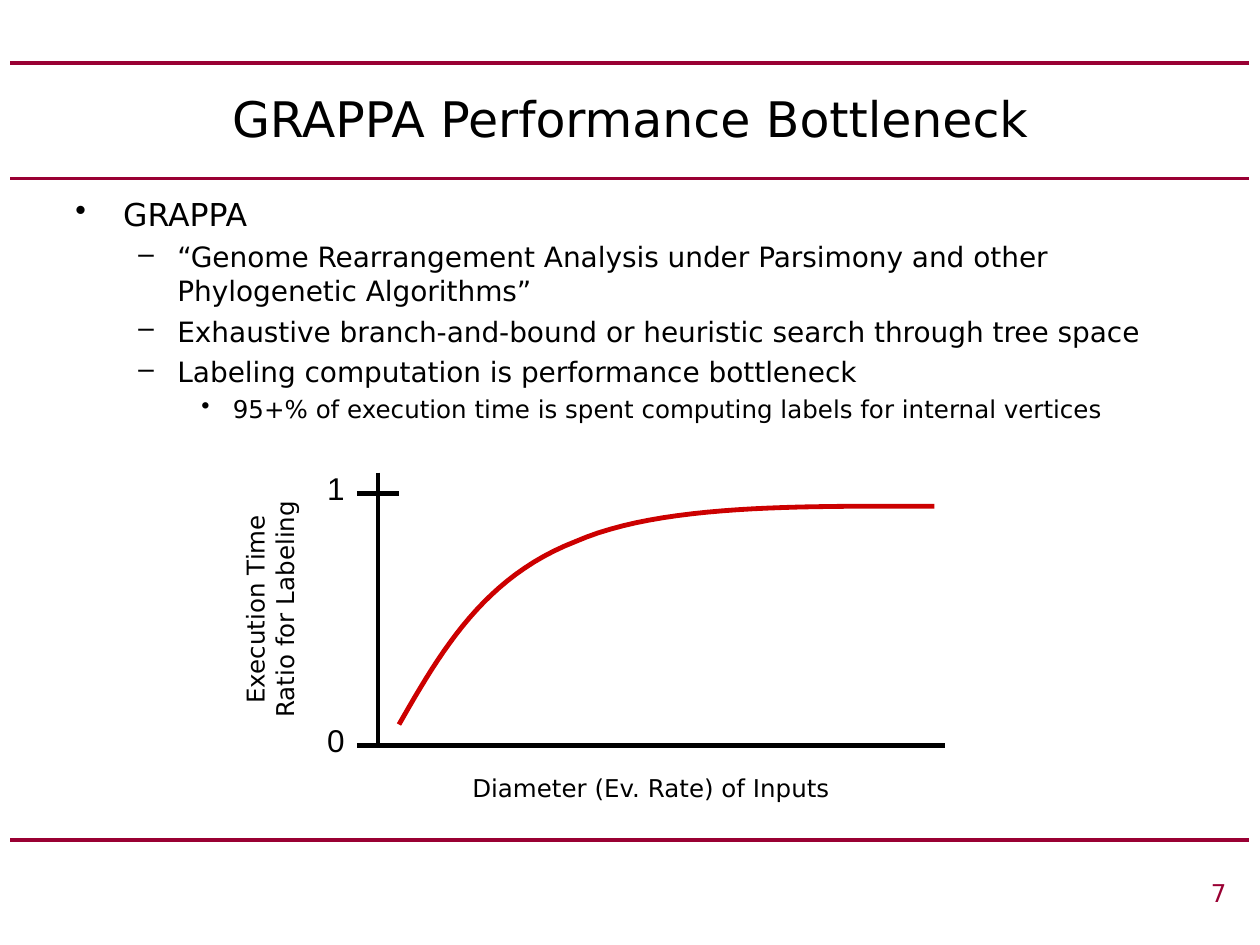
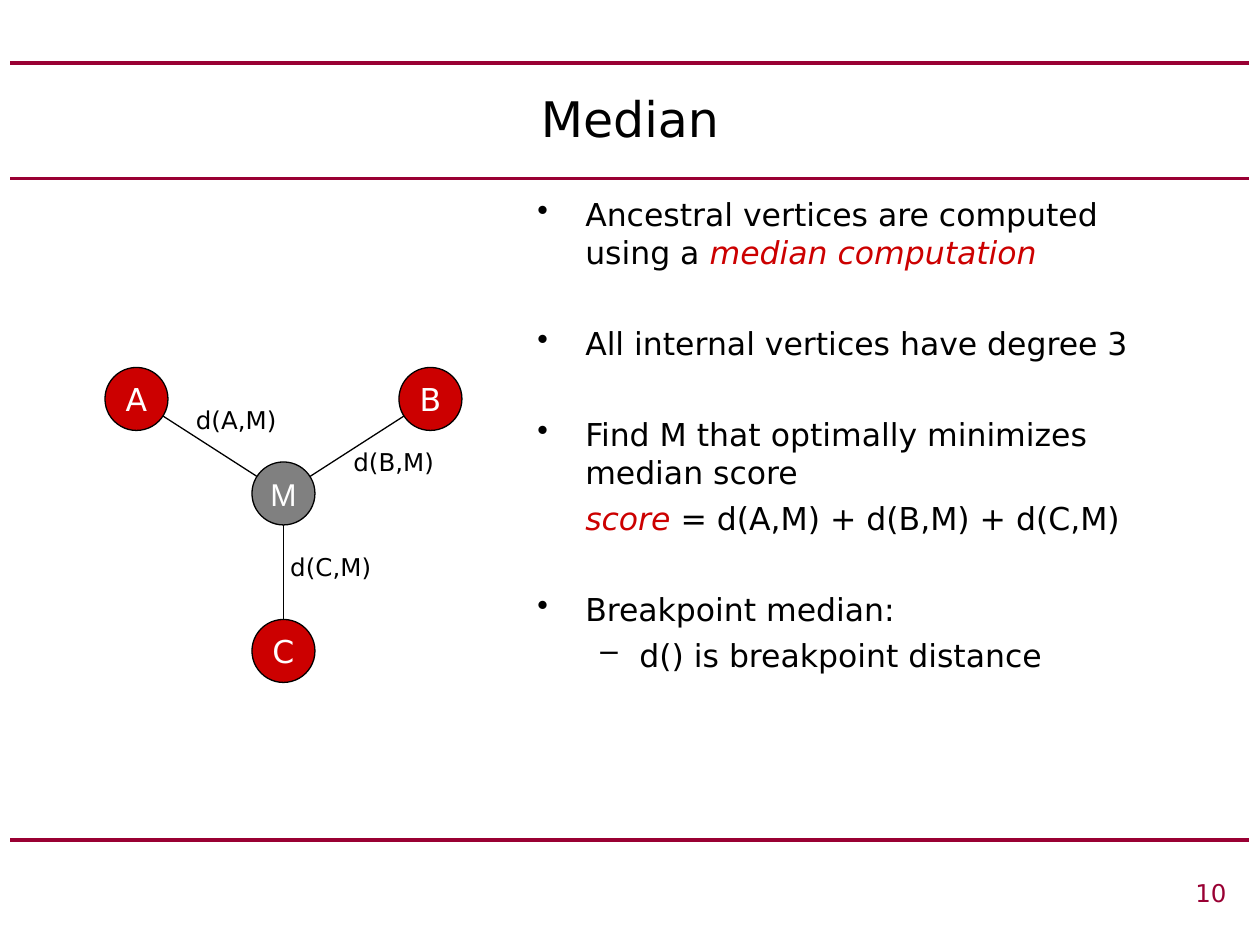
from collections import namedtuple

from lxml import etree
from pptx import Presentation
from pptx import util as u
from pptx.dml.color import RGBColor
from pptx.enum import shapes, text
from pptx.oxml import ns

COLS, ROWS = 120, 90
CELL = u.Inches(10) // COLS

MAROON = RGBColor(0x99, 0x00, 0x33)
RED = RGBColor(0xCC, 0x00, 0x00)
GREY = RGBColor(0x80, 0x80, 0x80)
BLACK = RGBColor(0x00, 0x00, 0x00)
WHITE = RGBColor(0xFF, 0xFF, 0xFF)

FONT = "DejaVu Sans"
AXIS_FONT = "Arial"
AXIS_WEIGHT = 2.75
SECTION_GAP = 30.5

# Per outline level: bullet, left margin and hanging indent in inches
LEVELS = [("•", 0.38, 0.38), ("–", 0.81, 0.31), ("•", 1.25, 0.25)]

Box = namedtuple("Box", "left top width height")
Bullet = namedtuple("Bullet", "level size words gap marked", defaults=(None, True))


def grid(*cells):
    return [u.Emu(round(cell * CELL)) for cell in cells]


def add_rule(slide, start, end, color, weight):
    rule = slide.shapes.add_connector(
        shapes.MSO_CONNECTOR.STRAIGHT, *grid(*start, *end))
    rule.line.color.rgb = color
    rule.line.width = u.Pt(weight)
    etree.SubElement(rule._element.spPr, ns.qn("a:effectLst"))


def add_words(paragraph, words, size, color=BLACK, font=FONT):
    """Write words; parts between asterisks become red italics."""
    for index, part in enumerate(words.split("*")):
        if not part:
            continue
        run = paragraph.add_run()
        run.text = part
        emphasised = index % 2 == 1
        settings = {"name": font, "size": u.Pt(size), "italic": emphasised}
        for key, value in settings.items():
            setattr(run.font, key, value)
        run.font.color.rgb = RED if emphasised else color


def add_label(slide, box, words, size=14, color=BLACK, font=FONT,
              align=text.PP_ALIGN.CENTER, anchor=text.MSO_ANCHOR.TOP):
    label = slide.shapes.add_textbox(*grid(*box))
    frame = label.text_frame
    frame.word_wrap = True
    frame.vertical_anchor = anchor
    frame.paragraphs[0].alignment = align
    add_words(frame.paragraphs[0], words, size, color, font)
    return label


def add_frame(slide, title, number):
    """Maroon rules, title and page number shared by every slide."""
    for row in (80, 17, 6):
        add_rule(slide, (1, row), (COLS - 1, row), MAROON, 2.25)
    add_label(slide, Box(6, 6, 108, 10.5), title, 28,
              anchor=text.MSO_ANCHOR.MIDDLE)
    add_label(slide, Box(34, 83, 84, 4), str(number), color=MAROON,
              align=text.PP_ALIGN.RIGHT)


def add_outline(slide, box, bullets):
    frame = slide.shapes.add_textbox(*grid(*box)).text_frame
    frame.word_wrap = True
    for index, bullet in enumerate(bullets):
        paragraph = frame.add_paragraph() if index else frame.paragraphs[0]
        paragraph.level = bullet.level
        paragraph.space_before = u.Pt(bullet.gap or bullet.size / 4)
        mark, margin, hang = LEVELS[bullet.level]
        properties = paragraph._p.get_or_add_pPr()
        properties.set("marL", str(u.Inches(margin)))
        properties.set("indent", str(-u.Inches(hang) if bullet.marked else 0))
        if bullet.marked:
            etree.SubElement(properties, ns.qn("a:buChar")).set("char", mark)
        add_words(paragraph, bullet.words, bullet.size)


def bezier(points, steps=24):
    """Points along one cubic segment, without its start."""
    for step in range(1, steps + 1):
        t = step / steps
        weights = ((1 - t) ** 3, 3 * t * (1 - t) ** 2, 3 * t * t * (1 - t), t ** 3)
        yield tuple(sum(w * p[axis] for w, p in zip(weights, points))
                    for axis in (0, 1))


def add_curve(slide, box):
    """Saturating curve; control points are shares of the box."""
    shares = [(0, 1), (0.08, 0.66), (0.16, 0.33), (0.33, 0.17),
              (0.49, 0), (0.75, 0.01), (1, 0.01)]
    controls = [grid(box.left + x * box.width, box.top + y * box.height)
                for x, y in shares]
    builder = slide.shapes.build_freeform(*controls[0])
    for first in (0, 3):
        builder.add_line_segments(bezier(controls[first:first + 4]), close=False)
    curve = builder.convert_to_shape()
    curve.shadow.inherit = False
    curve.fill.background()
    curve.line.color.rgb = RED
    curve.line.width = u.Pt(AXIS_WEIGHT)


def add_ratio_plot(slide, box):
    """Labelling share of run time against input diameter."""
    left, top, width, height = box
    axis, one, zero = left + 2, top + 2, top + height
    for start, end in [((axis, top), (axis, zero)),
                       ((left, one), (left + 4, one)),
                       ((left, zero), (left + width, zero))]:
        add_rule(slide, start, end, BLACK, AXIS_WEIGHT)
    add_label(slide, Box(left + 9, zero + 2, 38, 4),
              "Diameter (Ev. Rate) of Inputs")
    ratio = add_label(slide, Box(left - 20.3, top + 9.6, 24, 6.84),
                      "Execution Time Ratio for Labeling")
    ratio.rotation = 270
    for mark, row in (("1", one), ("0", zero)):
        add_label(slide, Box(left - 5, row - 2.9, 6, 4.8), mark, 18,
                  font=AXIS_FONT)
    add_curve(slide, Box(left + 4, top + 3, width - 5, height - 5))


def add_vertex(slide, center, radius, name, fill, font):
    x, y = center
    vertex = slide.shapes.add_shape(
        shapes.MSO_SHAPE.OVAL,
        *grid(x - radius, y - radius, 2 * radius, 2 * radius))
    vertex.shadow.inherit = False
    vertex.fill.solid()
    vertex.fill.fore_color.rgb = fill
    vertex.line.color.rgb = BLACK
    vertex.line.width = u.Pt(0.75)
    frame = vertex.text_frame
    for side in ("left", "top", "right", "bottom"):
        setattr(frame, f"margin_{side}", 0)
    frame.vertical_anchor = text.MSO_ANCHOR.MIDDLE
    frame.paragraphs[0].alignment = text.PP_ALIGN.CENTER
    add_words(frame.paragraphs[0], name, 18, WHITE, font)


def add_median_tree(slide, box):
    """Three leaves joined to the median vertex M."""
    left, top, width, height = box
    radius = 3
    middle = left + width / 2
    median = (middle, top + 0.4 * height)
    leaves = {"A": (left + radius, top + radius),
              "B": (left + width - radius, top + radius),
              "C": (middle, top + height - radius)}
    distance_places = {"A": (4, 3), "B": (19, 7), "C": (13, 17)}
    for leaf in leaves.values():
        add_rule(slide, leaf, median, BLACK, 0.75)
    for name, leaf in leaves.items():
        add_vertex(slide, leaf, radius, name, RED, FONT)
    add_vertex(slide, median, radius, "M", GREY, AXIS_FONT)
    for name, (x, y) in distance_places.items():
        add_label(slide, Box(left + x, top + y, 17, 4), f"d({name},M)")


def add_bottleneck_slide(slide):
    add_frame(slide, "GRAPPA Performance Bottleneck", 7)
    add_outline(slide, Box(6, 18, 108, 61), [
        Bullet(0, 18, "GRAPPA"),
        Bullet(1, 16, "“Genome Rearrangement Analysis under Parsimony "
                      "and other Phylogenetic Algorithms”"),
        Bullet(1, 16, "Exhaustive branch-and-bound or heuristic search "
                      "through tree space"),
        Bullet(1, 16, "Labeling computation is performance bottleneck"),
        Bullet(2, 14, "95+% of execution time is spent computing labels "
                      "for internal vertices"),
    ])
    add_ratio_plot(slide, Box(34, 45, 56, 26))


def add_median_slide(slide):
    add_frame(slide, "Median", 10)
    add_median_tree(slide, Box(10, 35, 34, 30))
    add_outline(slide, Box(50, 18, 64, 61), [
        Bullet(0, 18, "Ancestral vertices are computed using a "
                      "*median computation*"),
        Bullet(0, 18, "All internal vertices have degree 3", SECTION_GAP),
        Bullet(0, 18, "Find M that optimally minimizes median score",
               SECTION_GAP),
        Bullet(0, 18, "*score* = d(A,M) + d(B,M) + d(C,M)", marked=False),
        Bullet(0, 18, "Breakpoint median:", SECTION_GAP),
        Bullet(1, 18, "d() is breakpoint distance"),
    ])


def main():
    deck = Presentation()
    deck.slide_width, deck.slide_height = grid(COLS, ROWS)
    blank = deck.slide_layouts[6]
    for fill_slide in (add_bottleneck_slide, add_median_slide):
        fill_slide(deck.slides.add_slide(blank))
    deck.save("out.pptx")


if __name__ == "__main__":
    main()
